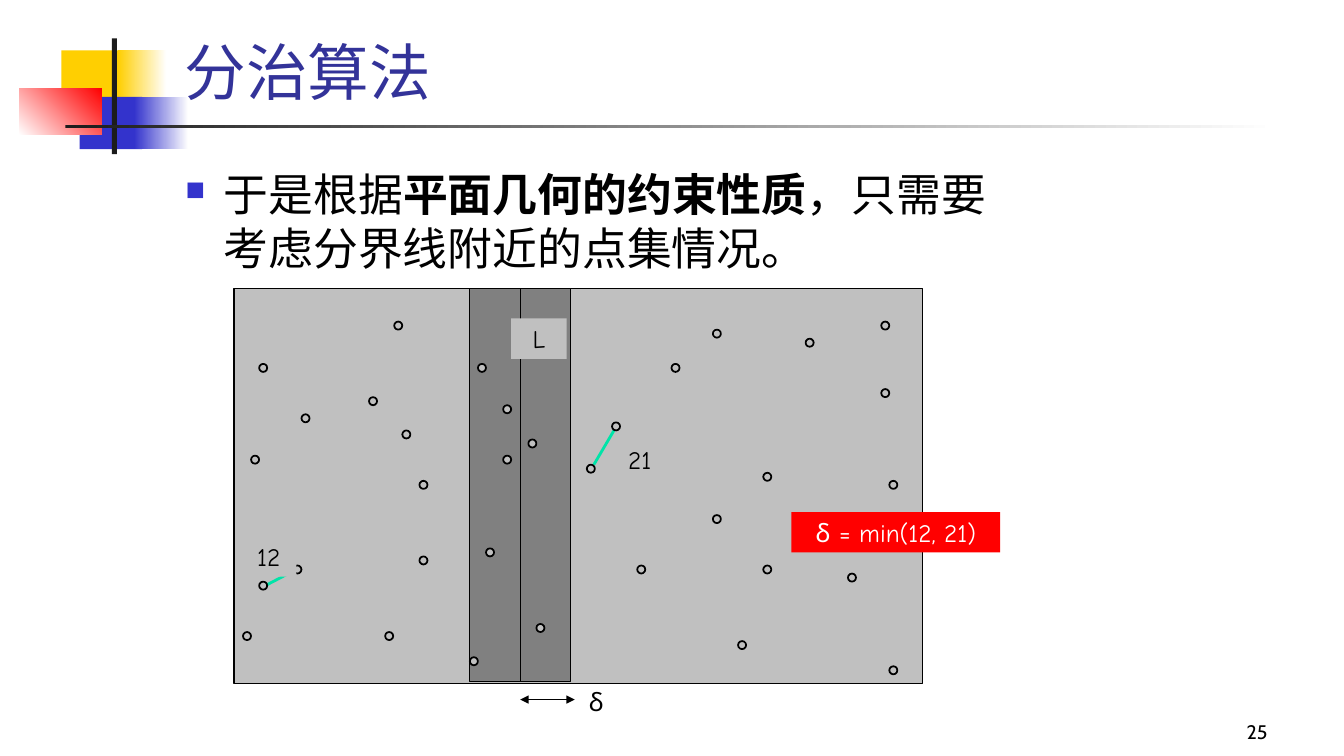
"""Build the slide on the divide-and-conquer closest pair of points."""
from lxml.etree import SubElement
from pptx import Presentation
from pptx.dml.color import RGBColor
from pptx.enum.shapes import MSO_CONNECTOR, MSO_SHAPE
from pptx.enum.text import MSO_ANCHOR, PP_ALIGN
from pptx.oxml.ns import qn
from pptx.util import Inches, Pt

BLACK = RGBColor(0x00, 0x00, 0x00)
WHITE = RGBColor(0xFF, 0xFF, 0xFF)
YELLOW = RGBColor(0xFF, 0xCF, 0x01)
BLUE = RGBColor(0x33, 0x33, 0xCC)
TITLE_BLUE = RGBColor(0x33, 0x33, 0x99)
RED = RGBColor(0xFF, 0x00, 0x00)
CHARCOAL = RGBColor(0x1C, 0x1C, 0x1C)
LIGHT_GREY = RGBColor(0xC0, 0xC0, 0xC0)
DARK_GREY = RGBColor(0x80, 0x80, 0x80)
GREEN = RGBColor(0x00, 0xE4, 0xA8)

DOT_SIZE = 0.08
LABEL_HEIGHT = 0.4

POINTS = [
    (2.99, 4.11), (4.99, 4.02), (4.16, 5.52), (5.32, 6.19), (2.57, 3.61),
    (3.66, 3.94), (3.91, 3.19), (3.99, 4.27), (6.66, 3.61), (4.74, 3.61),
    (8.82, 6.61), (7.07, 3.27), (7.57, 4.69), (2.49, 4.52), (5.24, 4.36),
    (4.16, 4.77), (4.99, 4.52), (4.82, 5.44), (4.66, 6.52), (2.41, 6.27),
    (3.82, 6.27), (8.74, 3.86), (7.99, 3.36), (6.32, 5.61), (8.74, 3.19),
    (7.07, 5.11), (7.32, 6.36), (8.82, 4.77), (7.57, 5.61), (8.41, 5.69),
]
CLOSEST_PAIRS = [
    ("12", (2.92, 5.66), (2.65, 5.8), [(2.57, 5.77), (2.91, 5.61)], (2.39, 5.32)),
    ("21", (6.09, 4.27), (5.89, 4.61), [(6.07, 4.19), (5.82, 4.61)], (6.07, 4.36)),
]


def write_text(frame, *runs, size=18, font="Comic Neue", color=BLACK,
               align=PP_ALIGN.CENTER, anchor=MSO_ANCHOR.TOP, bottom=0.05, bullet=None):
    """Fill a text frame with one paragraph of (text, bold) runs."""
    frame.word_wrap = True
    frame.vertical_anchor = anchor
    frame.margin_left = frame.margin_right = Inches(0.1)
    frame.margin_top, frame.margin_bottom = Inches(0.05), Inches(bottom)
    paragraph = frame.paragraphs[0]
    paragraph.alignment = align
    if bullet:
        properties = paragraph._p.get_or_add_pPr()
        properties.set("marL", str(Inches(0.38)))
        properties.set("indent", str(-Inches(0.38)))
        bullet_color = SubElement(properties, qn("a:buClr"))
        SubElement(bullet_color, qn("a:srgbClr"), val=str(BLUE))
        SubElement(properties, qn("a:buSzPct"), val="60000")
        SubElement(properties, qn("a:buChar"), char=bullet)
    for text, bold in runs:
        run = paragraph.add_run()
        run.text = text
        run.font.size, run.font.name = Pt(size), font
        run.font.bold = bold
        run.font.color.rgb = color


class SlideBuilder:
    """Hold the slide and the style of its elements."""

    def __init__(self, slide):
        """Keep the slide that receives the elements."""
        self.slide = slide

    def title(self, text, box):
        """Place and format the title placeholder."""
        title = self.slide.shapes.title
        title.left, title.top, title.width, title.height = map(Inches, box)
        write_text(title.text_frame, (text, False), size=44, font="Cabin",
                   color=TITLE_BLUE, align=PP_ALIGN.LEFT, anchor=MSO_ANCHOR.BOTTOM)

    def shape(self, box, fill, kind=MSO_SHAPE.RECTANGLE, outline=None):
        """Add a filled shape, outlined in black if a width is given."""
        shape = self.slide.shapes.add_shape(kind, *map(Inches, box))
        shape.shadow.inherit = False
        shape.fill.solid()
        shape.fill.fore_color.rgb = fill
        if outline:
            shape.line.color.rgb = BLACK
            shape.line.width = Pt(outline)
        else:
            shape.line.fill.background()
        return shape

    def fade(self, box, start, end, angle=0):
        """Add a rectangle with a linear gradient."""
        fill = self.shape(box, start).fill
        fill.gradient()
        fill.gradient_angle = angle
        for stop, color in zip(fill.gradient_stops, (start, end)):
            stop.color.rgb = color

    def dot(self, left, top):
        """Add one point of the plane."""
        self.shape((left, top, DOT_SIZE, DOT_SIZE), LIGHT_GREY, MSO_SHAPE.OVAL, 1.25)

    def label(self, text, left, top, width=0.55, fill=LIGHT_GREY, color=BLACK):
        """Add a filled label."""
        plate = self.shape((left, top, width, LABEL_HEIGHT), fill)
        write_text(plate.text_frame, (text, False), color=color)

    def text(self, box, *runs, **style):
        """Add a text box."""
        box_shape = self.slide.shapes.add_textbox(*map(Inches, box))
        write_text(box_shape.text_frame, *runs, **style)

    def line(self, start, end, color=BLACK, width=1, arrows=False):
        """Add a straight line, with arrowheads at both ends on request."""
        line = self.slide.shapes.add_connector(
            MSO_CONNECTOR.STRAIGHT, *map(Inches, (*start, *end)))
        line.line.color.rgb = color
        line.line.width = Pt(width)
        if arrows:
            for end_tag in ("a:headEnd", "a:tailEnd"):
                SubElement(line.line._get_or_add_ln(), qn(end_tag), type="triangle")
        SubElement(line._element.spPr, qn("a:effectLst"))
        return line


def main():
    """Build and save the slide."""
    deck = Presentation()
    deck.slide_width, deck.slide_height = Inches(13.33), Inches(7.5)
    builder = SlideBuilder(deck.slides.add_slide(deck.slide_layouts[5]))

    builder.shape((0.61, 0.5, 0.64, 0.52), YELLOW)
    builder.fade((1.17, 0.5, 0.48, 0.52), YELLOW, WHITE)
    builder.shape((0.79, 0.96, 0.62, 0.52), BLUE)
    builder.fade((1.33, 0.96, 0.54, 0.52), BLUE, WHITE)
    builder.fade((0.19, 0.88, 0.82, 0.46), WHITE, RED, angle=45)
    builder.shape((1.11, 0.38, 0.05, 1.15), CHARCOAL)
    builder.fade((0.65, 1.24, 12, 0.03), CHARCOAL, WHITE)

    builder.text((9.89, 6.92, 2.78, 0.5), ("25", False), size=14, font="Cabin",
                 align=PP_ALIGN.RIGHT, anchor=MSO_ANCHOR.BOTTOM)
    builder.title("分治算法", (1.73, 0.36, 8.52, 0.76))
    builder.text((1.74, 1.61, 8.5, 4.5), ("于是根据", False), ("平面几何的约束性质", True),
                 ("，只需要考虑分界线附近的点集情况。", False),
                 size=32, font="Cabin", align=PP_ALIGN.LEFT, bullet="■")

    builder.shape((2.32, 2.86, 6.83, 3.92), LIGHT_GREY, outline=1)
    strip = builder.shape((4.66, 2.86, 1, 3.9), DARK_GREY, outline=1)
    for point in POINTS:
        builder.dot(*point)
    divider = builder.line((5.16, 2.86), (5.16, 6.76))
    divider.begin_connect(strip, 0)
    divider.end_connect(strip, 2)

    for distance, start, end, pair, label_place in CLOSEST_PAIRS:
        builder.line(start, end, GREEN, 2)
        for point in pair:
            builder.dot(*point)
        builder.label(distance, *label_place)

    builder.line((5.16, 6.94), (5.7, 6.94), width=0.75, arrows=True)
    builder.text((5.74, 6.76, 0.33, 0.35), ("δ", False), bottom=0)
    builder.label("L", 5.07, 3.16)
    builder.label("δ = min(12, 21)", 7.85, 5.08, width=2.07, fill=RED, color=WHITE)

    deck.save("out.pptx")


if __name__ == "__main__":
    main()
